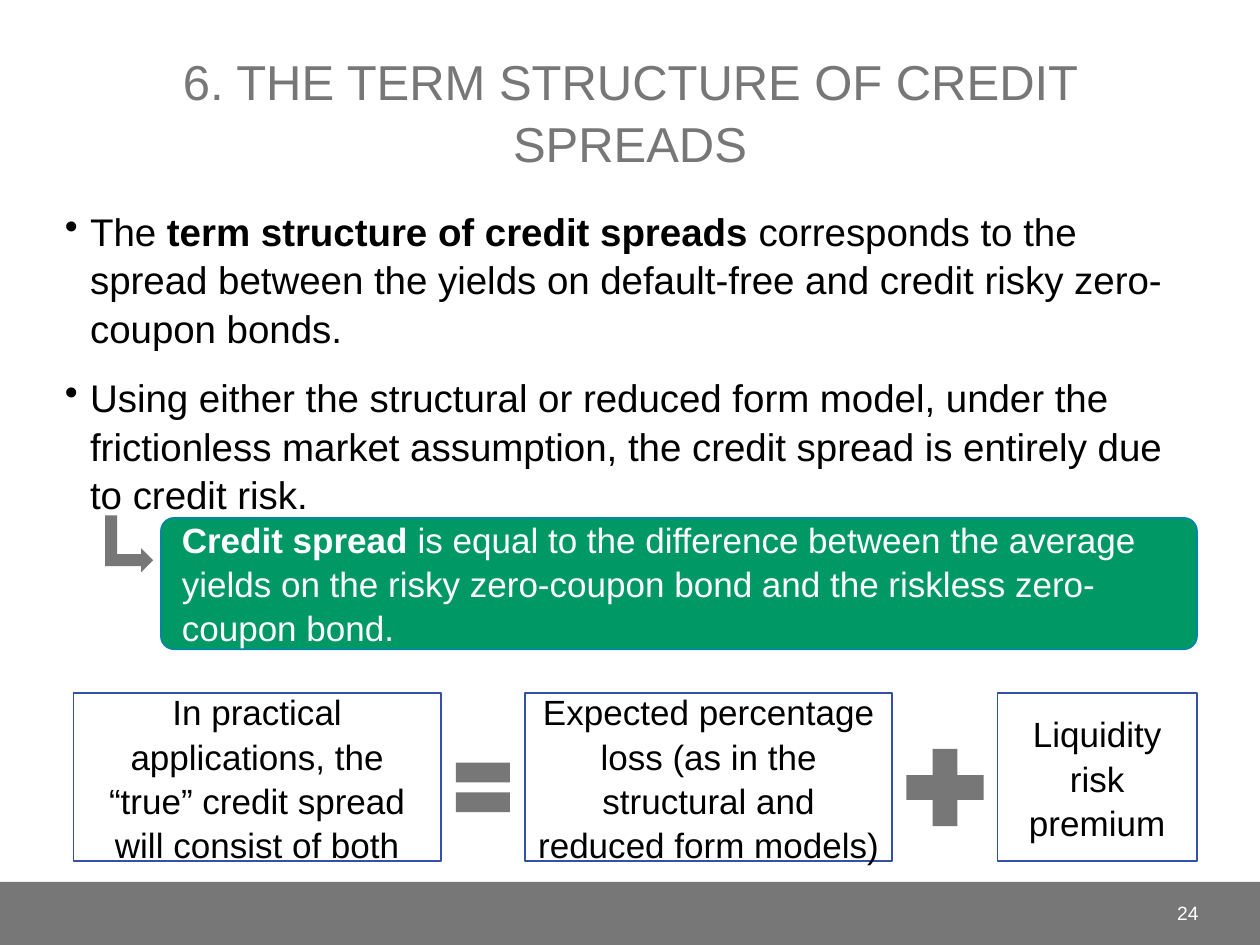
from lxml.etree import SubElement
from pptx import Presentation
from pptx.dml.color import RGBColor
from pptx.enum.shapes import MSO_SHAPE
from pptx.enum.text import MSO_ANCHOR, PP_ALIGN
from pptx.oxml.ns import qn
from pptx.util import Pt

GREY = RGBColor(0x77, 0x77, 0x77)
GREEN = RGBColor(0x00, 0x99, 0x66)
TEAL = RGBColor(0x00, 0x86, 0xA7)
BLUE = RGBColor(0x34, 0x51, 0xA9)
BLACK = RGBColor(0x00, 0x00, 0x00)
WHITE = RGBColor(0xFF, 0xFF, 0xFF)


def write(tf, paragraphs, size=20, color=BLACK, font="Arial", align=PP_ALIGN.LEFT,
          anchor=MSO_ANCHOR.TOP, space=0, indent=0, bullet=None):
    """Fill a text frame; each paragraph is a list of (text, bold) runs."""
    tf.word_wrap = True
    tf.vertical_anchor = anchor
    for i, runs in enumerate(paragraphs):
        p = tf.paragraphs[0] if i == 0 else tf.add_paragraph()
        p.alignment = align
        p.line_spacing = 1.05
        p.space_before = p.space_after = Pt(space)
        pPr = p._p.get_or_add_pPr()
        pPr.set("marL", str(Pt(indent)))
        if bullet:
            pPr.set("indent", str(-Pt(indent)))
            SubElement(pPr, qn("a:buChar"), char=bullet)
        for text, bold in runs:
            r = p.add_run()
            r.text = text
            r.font.name, r.font.size, r.font.bold = font, Pt(size), bold
            r.font.color.rgb = color


class Deck:
    """Holds the presentation style and the current slide."""

    def __init__(self, prs):
        self.s = prs.slides.add_slide(prs.slide_layouts[6])

    def shape(self, kind, box, fill=None, line=None):
        sp = self.s.shapes.add_shape(kind, *map(Pt, box))
        sp.shadow.inherit = False
        if fill is None:
            sp.fill.background()
        else:
            sp.fill.solid()
            sp.fill.fore_color.rgb = fill
        if line is None:
            sp.line.fill.background()
        else:
            sp.line.color.rgb = line
            sp.line.width = Pt(1)
        return sp

    def text(self, box, paragraphs, **style):
        sp = self.s.shapes.add_textbox(*map(Pt, box))
        write(sp.text_frame, paragraphs, **style)
        return sp

    def term(self, left, width, text):
        sp = self.shape(MSO_SHAPE.RECTANGLE, (left, 396, width, 96), line=BLUE)
        write(sp.text_frame, [[(text, False)]], align=PP_ALIGN.CENTER,
              anchor=MSO_ANCHOR.MIDDLE)


def main():
    prs = Presentation()
    prs.slide_width, prs.slide_height = Pt(720), Pt(540)
    deck = Deck(prs)

    # Footer band, title and bullets
    deck.shape(MSO_SHAPE.RECTANGLE, (0, 504, 720, 36), fill=GREY)
    deck.text((30, 12, 660, 90), [[("6. THE TERM STRUCTURE OF CREDIT SPREADS", False)]],
              size=28, color=GREY, align=PP_ALIGN.CENTER, anchor=MSO_ANCHOR.BOTTOM)
    deck.text((30, 114, 660, 372), [
        [("The ", False), ("term structure of credit spreads ", True),
         ("corresponds to the spread between the yields on default-free and "
          "credit risky zero-coupon bonds.", False)],
        [("Using either the structural or reduced form model, under the frictionless "
          "market assumption, the credit spread is entirely due to credit risk.", False)],
    ], size=22, space=6, indent=14.4, bullet="•")
    deck.text((630, 507, 62, 29), [[("24", False)]], size=11, color=WHITE,
              align=PP_ALIGN.RIGHT, anchor=MSO_ANCHOR.MIDDLE)

    # Definition panel with its arrow
    panel = deck.shape(MSO_SHAPE.ROUNDED_RECTANGLE, (92, 296, 592, 75), GREEN, TEAL)
    panel.adjustments[0] = 0.1
    definition = deck.text((78, 294, 606, 78), [
        [("Credit spread ", True),
         ("is equal to the difference between the average yields on the risky "
          "zero-coupon bond and the riskless zero-coupon bond.", False)],
    ], color=WHITE, anchor=MSO_ANCHOR.MIDDLE, space=6, indent=21.6)
    tf = definition.text_frame
    tf.margin_left = tf.margin_right = Pt(4.3)
    arrow = deck.shape(MSO_SHAPE.BENT_UP_ARROW, (57.5, 297, 32.5, 27.5), fill=GREY)
    arrow.rotation = 90

    # Equation: true spread = expected loss + liquidity premium
    deck.term(42, 210, "In practical applications, the “true” credit spread "
                       "will consist of both")
    deck.shape(MSO_SHAPE.MATH_EQUAL, (255, 426, 42, 48), fill=GREY)
    deck.term(300, 210, "Expected percentage loss (as in the structural and "
                        "reduced form models)")
    deck.shape(MSO_SHAPE.MATH_PLUS, (510, 420, 60, 60), fill=GREY)
    deck.term(570, 114, "Liquidity risk premium")

    prs.save("out.pptx")


if __name__ == "__main__":
    main()
